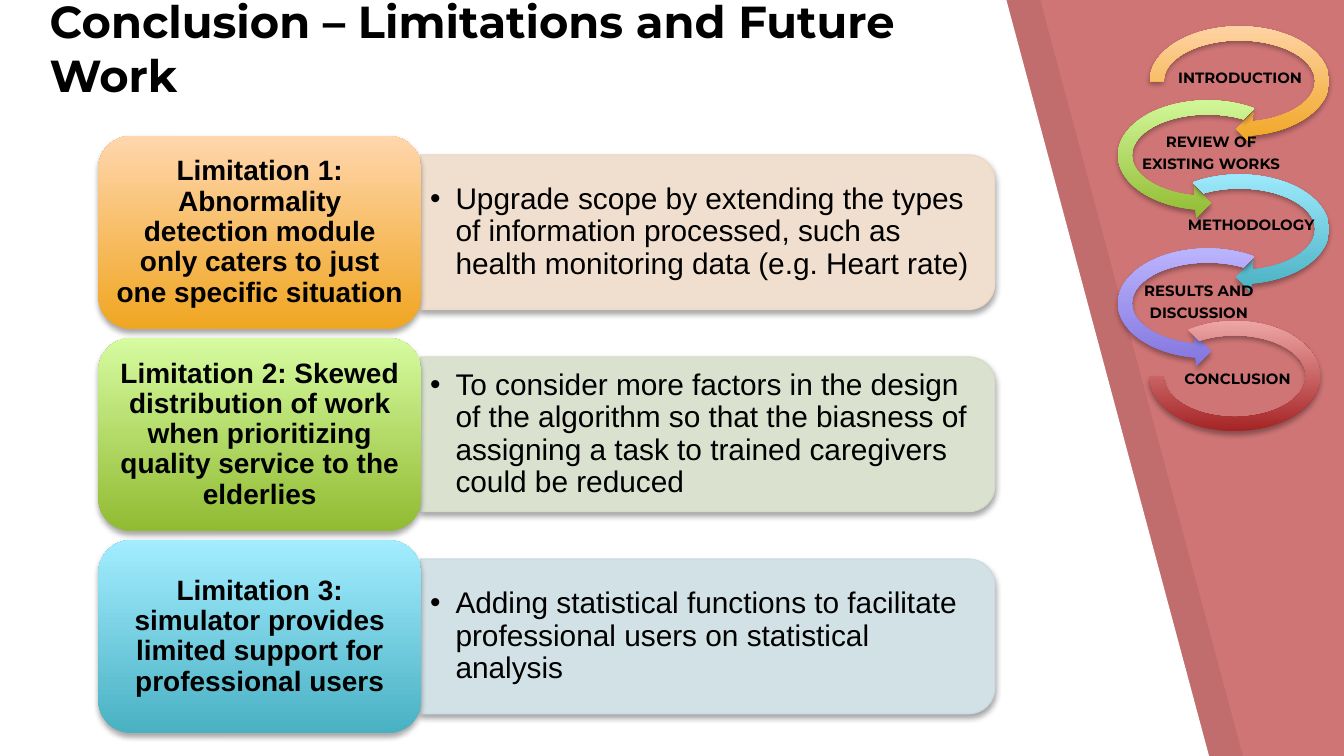
"""Build the conclusion slide: limitations, future work and a section trail."""
from math import cos, pi, sin

from lxml.etree import SubElement
from pptx import Presentation
from pptx.dml.color import RGBColor
from pptx.enum.shapes import MSO_SHAPE
from pptx.enum.text import MSO_ANCHOR, MSO_AUTO_SIZE, PP_ALIGN
from pptx.oxml.ns import qn
from pptx.util import Cm, Pt

ROUND = MSO_SHAPE.ROUNDED_RECTANGLE
BOX = MSO_SHAPE.RECTANGLE
RIGHT = MSO_SHAPE.CIRCULAR_ARROW
LEFT = MSO_SHAPE.LEFT_CIRCULAR_ARROW
ARC = MSO_SHAPE.BLOCK_ARC
MIDDLE, BOTTOM = MSO_ANCHOR.MIDDLE, MSO_ANCHOR.BOTTOM
CENTER, START = PP_ALIGN.CENTER, PP_ALIGN.LEFT
NO_FIT = MSO_AUTO_SIZE.NONE

BLACK = RGBColor(0x00, 0x00, 0x00)
WHITE = RGBColor(0xFF, 0xFF, 0xFF)
ROSE = RGBColor(0xD0, 0x75, 0x76)
ORANGE = (RGBColor(0xF0, 0xA6, 0x21), RGBColor(0xFF, 0xD6, 0xAD))
GREEN = (RGBColor(0x91, 0xBB, 0x32), RGBColor(0xD6, 0xFB, 0xA0))
BLUE = (RGBColor(0x49, 0xB1, 0xC3), RGBColor(0xA2, 0xED, 0xFF))
PURPLE = (RGBColor(0x82, 0x75, 0xDE), RGBColor(0xBF, 0xB8, 0xFF))
RED = (RGBColor(0xA5, 0x24, 0x25), RGBColor(0xED, 0xA5, 0xA5))
SAND = (RGBColor(0xF0, 0xDF, 0xCE), RGBColor(0xEC, 0xDA, 0xC9))
SAGE = (RGBColor(0xDA, 0xE2, 0xCF), RGBColor(0xD5, 0xDD, 0xCA))
MIST = (RGBColor(0xD1, 0xE1, 0xE5), RGBColor(0xCC, 0xDC, 0xE0))

TITLE = {"size": Pt(24), "name": "Montserrat", "bold": True}
LABEL = {"size": Pt(15), "name": "Arial", "bold": True}
PLAN = {"size": Pt(16), "name": "Arial", "bold": False}
STEP = {"size": Pt(8), "name": "Montserrat", "bold": True}


def write(shape, text, font, align, pads, anchor=MIDDLE, gap=0, lead=0.9, bullet=False):
    frame = shape.text_frame
    frame.text = text
    form = {"word_wrap": True, "auto_size": NO_FIT, "vertical_anchor": anchor}
    sides = ("margin_left", "margin_top", "margin_right", "margin_bottom")
    form.update(zip(sides, map(Cm, pads)))
    for key, value in form.items():
        setattr(frame, key, value)
    for para in frame.paragraphs:
        if bullet:
            props = para._p.get_or_add_pPr()
            props.set("marL", str(Cm(0.48)))
            props.set("indent", str(-Cm(0.48)))
            SubElement(props, qn("a:buFont"), typeface="Arial")
            SubElement(props, qn("a:buChar"), char="•")
        look = {"alignment": align, "line_spacing": lead, "space_after": Pt(gap)}
        for key, value in look.items():
            setattr(para, key, value)
        for key, value in font.items():
            setattr(para.font, key, value)
        para.font.color.rgb = BLACK


def shade(shape, blend=None):
    if blend:
        shape.line.fill.background()
        shape.fill.gradient()
        shape.fill.gradient_angle = 90
        for place, (stop, color) in enumerate(zip(shape.fill.gradient_stops, blend)):
            stop.position = place
            stop.color.rgb = color
    shape.shadow.inherit = False
    cast = SubElement(
        shape._element.spPr.find(qn("a:effectLst")), qn("a:outerShdw"),
        blurRad=str(Pt(3.1)), dist=str(Pt(1.8)), dir="5400000", rotWithShape="0",
    )
    tint = SubElement(cast, qn("a:srgbClr"), val="000000")
    SubElement(tint, qn("a:alpha"), val="35000")


deck = Presentation()
deck.slide_width, deck.slide_height = Cm(25.4), Cm(14.29)
slide = deck.slides.add_slide(deck.slide_layouts[5])
shapes = slide.shapes
slide.background.fill.solid()
slide.background.fill.fore_color.rgb = ROSE

for left, color, alpha in ((0.64, BLACK, 7), (0, WHITE, 100)):
    pen = shapes.build_freeform(Cm(left), 0)
    edge = ((0, 14.29), (22.85, 14.29), (19.02, 0))
    pen.add_line_segments([(Cm(left + x), Cm(y)) for x, y in edge])
    band = pen.convert_to_shape()
    band.fill.solid()
    band.fill.fore_color.rgb = color
    band.line.fill.background()
    band.shadow.inherit = False
    tint = band._element.spPr.find(qn("a:solidFill"))[0]
    SubElement(tint, qn("a:alpha"), val=str(alpha * 1000))

rows = (
    ("Limitation 1: Abnormality detection module only caters to just one specific situation",
     "Upgrade scope by extending the types of information processed, such as "
     "health monitoring data (e.g. Heart rate)", ORANGE, SAND),
    ("Limitation 2: Skewed distribution of work when prioritizing quality service to the elderlies",
     "To consider more factors in the design of the algorithm so that the biasness of "
     "assigning a task to trained caregivers could be reduced", GREEN, SAGE),
    ("Limitation 3: simulator provides limited support for professional users",
     "Adding statistical functions to facilitate professional users on statistical analysis",
     BLUE, MIST),
)
for row, (limit, plan, blend, pale) in enumerate(rows):
    top = 2.57 + 3.82 * row
    x, y, wide, high, bend = 7.95, top + 0.36, 10.85, 2.92, 0.49
    turns = [pi / 2 * k / 8 for k in range(9)]
    side = x + wide - bend
    edge = [(side + bend * sin(t), y + bend - bend * cos(t)) for t in turns]
    edge += [(side + bend * cos(t), y + high - bend + bend * sin(t)) for t in turns]
    edge.append((x, y + high))
    pen = shapes.build_freeform(Cm(x), Cm(y))
    pen.add_line_segments([(Cm(a), Cm(b)) for a, b in edge])
    panel = pen.convert_to_shape()
    panel.fill.solid()
    panel.fill.fore_color.rgb, panel.line.color.rgb = pale
    panel.line.width = Pt(0.75)
    shade(panel)
    write(panel, plan, PLAN, START, (0.18, 0.23, 0.3, 0.23), bullet=True)

    label = shapes.add_shape(ROUND, Cm(1.86), Cm(top), Cm(6.1), Cm(3.65))
    label.adjustments[0] = 0.17
    shade(label, blend)
    write(label, limit, LABEL, CENTER, (0.15, 0.07, 0.15, 0.07))

steps = (
    ("INTRODUCTION", 21.51, 1.14, RIGHT, ORANGE, (0.11, 11.42, 45, 108, 1 / 8)),
    ("REVIEW OF\nEXISTING WORKS", 20.96, 2.56, LEFT, GREEN, (0.11, 11.42, 63, 189, 1 / 8)),
    ("METHODOLOGY", 21.72, 3.93, RIGHT, BLUE, (0.11, 11.42, 45, 135, 1 / 8)),
    ("RESULTS AND\nDISCUSSION", 20.73, 5.38, LEFT, PURPLE, (0.11, 11.42, 63, 189, 1 / 8)),
    ("CONCLUSION", 21.46, 6.83, ARC, RED, (135, 108, 0.13)),
)
boxes = {RIGHT: (21.56, 0, 3.73, 2.41), LEFT: (20.96, 0, 3.73, 2.41), ARC: (21.72, 0.14, 3.23, 2.08)}
for row, (text, left, top, kind, blend, bends) in enumerate(steps):
    x, drop, wide, high = boxes[kind]
    loop = shapes.add_shape(kind, Cm(x), Cm(0.33 + 1.4 * row + drop), Cm(wide), Cm(high))
    for spot, value in enumerate(bends):
        loop.adjustments[spot] = value
    shade(loop, blend)
    name = shapes.add_shape(BOX, Cm(left), Cm(top), Cm(3.86), Cm(0.69))
    name.fill.background()
    name.line.fill.background()
    name.shadow.inherit = False
    write(name, text, STEP, CENTER, (0, 0, 0, 0), gap=3)

title = shapes.title
place = {"left": Cm(0.69), "top": Cm(0.81), "width": Cm(18.57), "height": Cm(1.35)}
for key, value in place.items():
    setattr(title, key, value)
write(title, "Conclusion – Limitations and Future Work", TITLE, START, (0.25,) * 4, BOTTOM, lead=1.0)
shapes._spTree.append(title._element)

deck.save("out.pptx")
